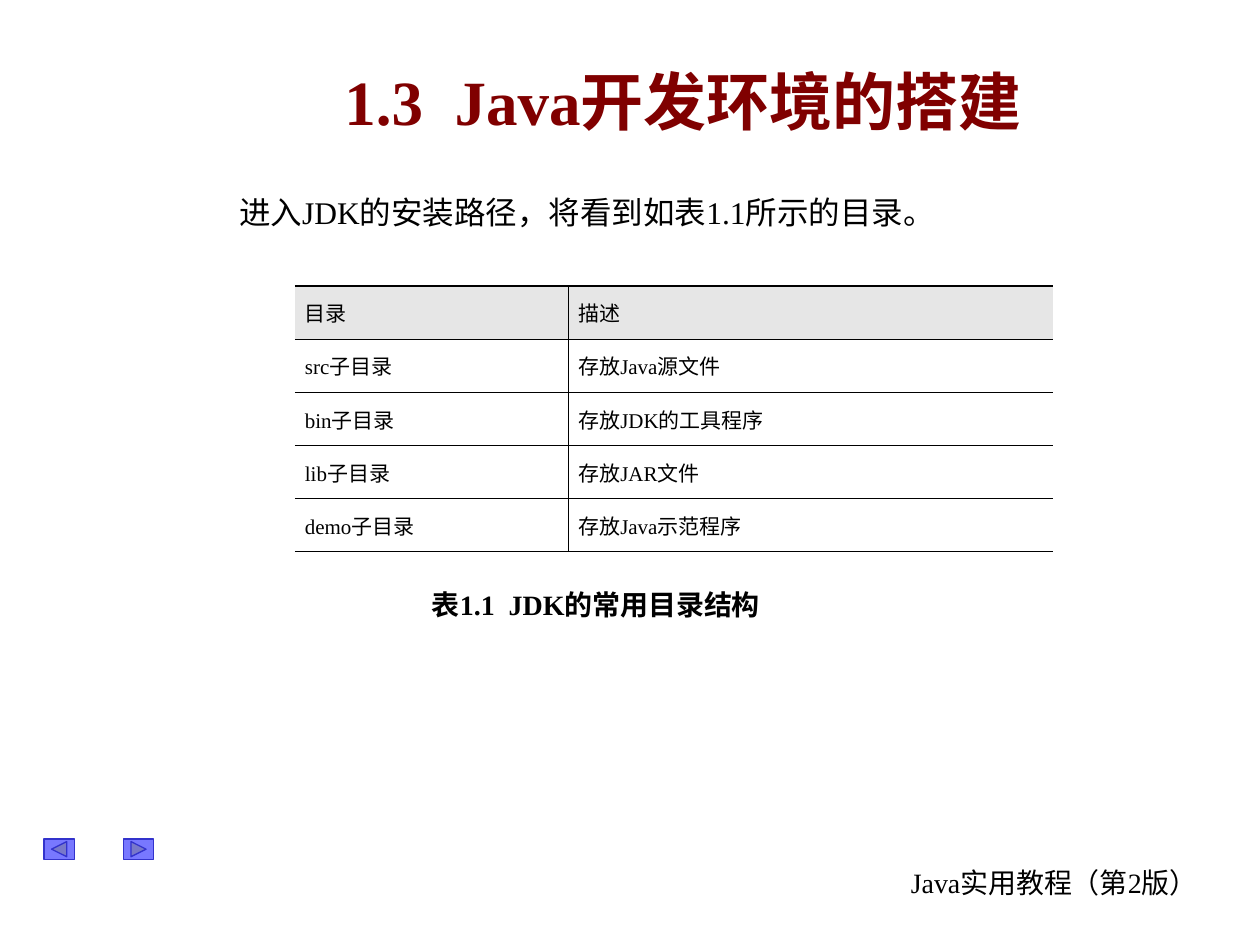
"""Build the slide on the common directories of the JDK."""
from lxml import etree
from pptx import Presentation
from pptx.dml.color import RGBColor
from pptx.enum import shapes, text
from pptx.oxml import ns
from pptx.util import Inches, Pt

FONT = "Times New Roman"
BLACK = RGBColor(0x00, 0x00, 0x00)
MAROON = RGBColor(0x80, 0x00, 0x00)
HEADER_GREY = RGBColor(0xE6, 0xE6, 0xE6)
BUTTON_BLUE = RGBColor(0x00, 0x00, 0xFF)
BUTTON_EDGE = RGBColor(0x33, 0x33, 0xCC)
PLAIN_TABLE = "{2D5ABB26-0587-4C30-8999-92F81FD0307C}"
THIN, THICK = 0.45, 0.75

DIRECTORIES = [
    ("目录", "描述"),
    ("src子目录", "存放Java源文件"),
    ("bin子目录", "存放JDK的工具程序"),
    ("lib子目录", "存放JAR文件"),
    ("demo子目录", "存放Java示范程序"),
]


def inches(box):
    """Turn a box of left, top, width and height into lengths."""
    return [Inches(v) for v in box]


def write(tf, words, size, color=BLACK, bold=False, align=None):
    """Write one formatted paragraph into a text frame."""
    p = tf.paragraphs[0]
    p.text = words
    p.alignment = align
    p.font.name = FONT
    p.font.size = Pt(size)
    p.font.bold = bold
    p.font.color.rgb = color


def add_title(s, box, words):
    """Place and format the title placeholder."""
    sp = s.shapes.title
    sp.left, sp.top, sp.width, sp.height = inches(box)
    tf = sp.text_frame
    tf.margin_left = tf.margin_right = tf.margin_top = tf.margin_bottom = 0
    tf.vertical_anchor = text.MSO_ANCHOR.MIDDLE
    write(tf, words, 36, MAROON, True, text.PP_ALIGN.CENTER)


def add_text(s, box, words, size, bold=False, wrap=True, anchor=text.MSO_ANCHOR.TOP):
    """Add a text box that grows with its text."""
    tf = s.shapes.add_textbox(*inches(box)).text_frame
    tf.word_wrap = wrap
    tf.auto_size = text.MSO_AUTO_SIZE.SHAPE_TO_FIT_TEXT
    tf.vertical_anchor = anchor
    write(tf, words, size, bold=bold)


def set_borders(cell, widths):
    """Draw the given sides of a cell in black and clear the others."""
    tcPr = cell._tc.get_or_add_tcPr()
    for side in "LRTB":
        ln = etree.SubElement(tcPr, ns.qn(f"a:ln{side}"))
        if side in widths:
            ln.set("w", str(Pt(widths[side])))
            fill = etree.SubElement(ln, ns.qn("a:solidFill"))
            etree.SubElement(fill, ns.qn("a:srgbClr"), val=str(BLACK))
        else:
            etree.SubElement(ln, ns.qn("a:noFill"))


def add_directory_table(s, box, rows, col_widths):
    """Add the ruled table with a grey header row."""
    tbl = s.shapes.add_table(len(rows), len(col_widths), *inches(box)).table
    tbl._tbl.tblPr.find(ns.qn("a:tableStyleId")).text = PLAIN_TABLE
    tbl.horz_banding = False
    for col, width in zip(tbl.columns, col_widths):
        col.width = Inches(width)
    last = len(rows) - 1
    for i, row in enumerate(rows):
        for j, words in enumerate(row):
            cell = tbl.cell(i, j)
            cell.margin_left = cell.margin_right = Inches(0.08)
            cell.vertical_anchor = text.MSO_ANCHOR.MIDDLE
            write(cell.text_frame, words, 12, align=text.PP_ALIGN.JUSTIFY)
            set_borders(cell, {
                "T": THICK if i == 0 else THIN,
                "B": THICK if i == last else THIN,
                "R" if j == 0 else "L": THIN,
            })
            if i == 0:
                cell.fill.solid()
                cell.fill.fore_color.rgb = HEADER_GREY
            else:
                cell.fill.background()


def add_nav_buttons(s, box, pitch):
    """Add the previous and next buttons, starting at the given box."""
    left, top, width, height = box
    kinds = (shapes.MSO_SHAPE.ACTION_BUTTON_BACK_OR_PREVIOUS,
             shapes.MSO_SHAPE.ACTION_BUTTON_FORWARD_OR_NEXT)
    for i, kind in enumerate(kinds):
        sp = s.shapes.add_shape(kind, *inches((left + i * pitch, top, width, height)))
        sp.shadow.inherit = False
        sp.fill.solid()
        sp.fill.fore_color.rgb = BUTTON_BLUE
        clr = sp.fill._xPr.find(".//" + ns.qn("a:srgbClr"))
        etree.SubElement(clr, ns.qn("a:alpha"), val="53000")
        sp.line.color.rgb = BUTTON_EDGE
        sp.line.width = Pt(0.75)


def main():
    """Build and save the presentation."""
    prs = Presentation()
    prs.slide_width, prs.slide_height = Inches(10), Inches(7.5)
    s = prs.slides.add_slide(prs.slide_layouts[5])
    add_text(s, (7.13, 6.82, 2.52, 0.64), "Java实用教程（第2版）", 16)
    add_nav_buttons(s, (0.35, 6.66, 0.24, 0.16), 0.63)
    add_title(s, (1.17, 0.42, 8.5, 0.75), "1.3  Java开发环境的搭建")
    add_text(s, (1.8, 1.48, 5.94, 0.4), "进入JDK的安装路径，将看到如表1.1所示的目录。", 18)
    add_directory_table(s, (2.34, 2.27, 6.02, 2.11), DIRECTORIES, (2.17, 3.85))
    add_text(s, (3.33, 4.61, 2.91, 0.37), "表1.1  JDK的常用目录结构", 16,
             bold=True, wrap=False, anchor=text.MSO_ANCHOR.MIDDLE)
    prs.save("out.pptx")


if __name__ == "__main__":
    main()
